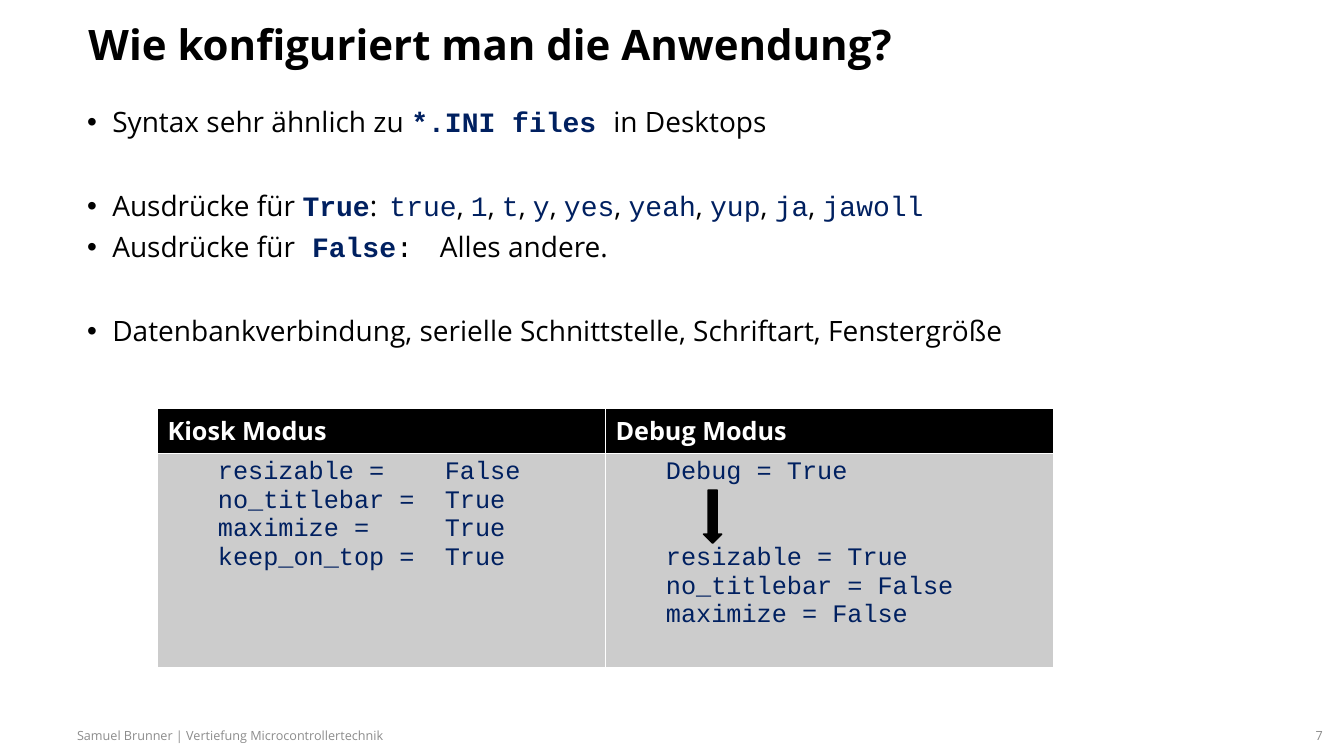
from pptx import Presentation
from pptx.dml.color import RGBColor
from pptx.enum.shapes import MSO_SHAPE
from pptx.enum.text import MSO_ANCHOR, MSO_AUTO_SIZE, PP_ALIGN
from pptx.util import Pt

SANS, MONO = "Open Sans", "Courier New"
BLACK, WHITE, NAVY, GREY, SILVER = "000000", "FFFFFF", "002060", "8C8C8C", "CCCCCC"

TITLE = "Wie konfiguriert man die Anwendung?"
# Run styles: font, colour, bold
PLAIN = (SANS, BLACK, False)
CODE = (MONO, NAVY, False)
KEY = (MONO, NAVY, True)
MARK = (MONO, BLACK, False)

WORDS = ["true", "1", "t", "y", "yes", "yeah", "yup", "ja", "jawoll"]
YES = [("Ausdrücke für ", PLAIN), ("True", KEY), (": \t", PLAIN), (WORDS[0], CODE)]
for word in WORDS[1:]:
    YES += [(", ", PLAIN), (word, CODE)]

# Space before, runs
GAP, WIDE = 7.5, 38.5
BULLETS = [
    (0, [("Syntax sehr ähnlich zu ", PLAIN), ("*.INI files ", KEY), ("in Desktops", PLAIN)]),
    (WIDE, YES),
    (GAP, [("Ausdrücke für", PLAIN), (" False", KEY), (": \t", MARK),
           ("Alles andere.", PLAIN)]),
    (WIDE, [("Datenbankverbindung, serielle Schnittstelle, Schriftart, Fenstergröße", PLAIN)]),
]

# Heading, then code lines with the space before each
MODES = [
    ("Kiosk Modus", [
        ("resizable =    False", 0),
        ("no_titlebar =  True", 0),
        ("maximize =     True", 0),
        ("keep_on_top =  True", 0),
    ]),
    ("Debug Modus", [
        ("Debug = True", 0),
        ("resizable = True", 41),
        ("no_titlebar = False", 0),
        ("maximize = False", 0),
    ]),
]
HEAD, BODY, COL = 32, 153, 320

# Text, box, alignment
FOOTER = [
    ("Samuel Brunner | Vertiefung Microcontrollertechnik", (48, 511, 623, 29), PP_ALIGN.LEFT),
    ("7", (736, 511, 216, 29), PP_ALIGN.RIGHT),
]


def rgb(code):
    return RGBColor.from_string(code)


def style(font, size, name, color, bold=False):
    font.size, font.name, font.bold = Pt(size), name, bold
    font.color.rgb = rgb(color)


def place(shape, left, top, width, height):
    shape.left, shape.top = Pt(left), Pt(top)
    shape.width, shape.height = Pt(width), Pt(height)


def space(para, before, line=None):
    para.space_before = Pt(before)
    para.space_after = Pt(0)
    if line:
        para.line_spacing = line


def indent(para, left, first):
    props = para._p.get_or_add_pPr()
    props.set("marL", str(Pt(left)))
    props.set("indent", str(Pt(first)))


def nth(frame, index):
    """Return paragraph number index, adding it when it is not the first."""
    return frame.add_paragraph() if index else frame.paragraphs[0]


def fill_title(shape):
    place(shape, 56, 13.5, 788, 37)
    frame = shape.text_frame
    frame.text = TITLE
    frame.auto_size = MSO_AUTO_SIZE.NONE
    frame.vertical_anchor = MSO_ANCHOR.TOP
    para = frame.paragraphs[0]
    para.alignment = PP_ALIGN.LEFT
    space(para, 0, 0.9)
    style(para.runs[0].font, 30, SANS, BLACK, True)


def fill_body(shape):
    place(shape, 55, 74, 850, 222)
    frame = shape.text_frame
    frame.auto_size = MSO_AUTO_SIZE.NONE
    for i, (before, runs) in enumerate(BULLETS):
        para = nth(frame, i)
        indent(para, 18, -18)
        space(para, before, 0.9)
        for text, (name, color, bold) in runs:
            run = para.add_run()
            run.text = text
            style(run.font, 20, name, color, bold)


def add_modes(slide):
    frame = slide.shapes.add_table(2, len(MODES), Pt(112.5), Pt(292),
                                   Pt(COL * len(MODES)), Pt(HEAD + BODY))
    table = frame.table
    table.rows[0].height, table.rows[1].height = Pt(HEAD), Pt(BODY)
    for col, (name, lines) in enumerate(MODES):
        table.columns[col].width = Pt(COL)
        head, body = table.cell(0, col), table.cell(1, col)
        for cell, color in ((head, BLACK), (body, SILVER)):
            cell.fill.solid()
            cell.fill.fore_color.rgb = rgb(color)
        head.text_frame.text = name
        style(head.text_frame.paragraphs[0].runs[0].font, 18, SANS, WHITE, True)
        for i, (text, before) in enumerate(lines):
            para = nth(body.text_frame, i)
            para.text = text
            indent(para, 36, 0)
            space(para, before)
            style(para.runs[0].font, 18, MONO, NAVY)


def add_arrow(slide):
    arrow = slide.shapes.add_shape(MSO_SHAPE.DOWN_ARROW, Pt(502.5), Pt(350), Pt(13), Pt(38))
    arrow.shadow.inherit = False
    arrow.fill.solid()
    arrow.fill.fore_color.rgb = rgb(BLACK)
    arrow.line.color.rgb = rgb(BLACK)
    arrow.line.width = Pt(1)


def add_footer(slide):
    for text, box, align in FOOTER:
        frame = slide.shapes.add_textbox(*map(Pt, box)).text_frame
        frame.word_wrap = True
        frame.vertical_anchor = MSO_ANCHOR.MIDDLE
        frame.text = text
        para = frame.paragraphs[0]
        para.alignment = align
        style(para.runs[0].font, 9, SANS, GREY)


def main():
    deck = Presentation()
    deck.slide_width, deck.slide_height = Pt(960), Pt(540)
    slide = deck.slides.add_slide(deck.slide_layouts[1])
    fill_title(slide.shapes.title)
    fill_body(slide.placeholders[1])
    add_footer(slide)
    add_modes(slide)
    add_arrow(slide)
    deck.save("out.pptx")


if __name__ == "__main__":
    main()
